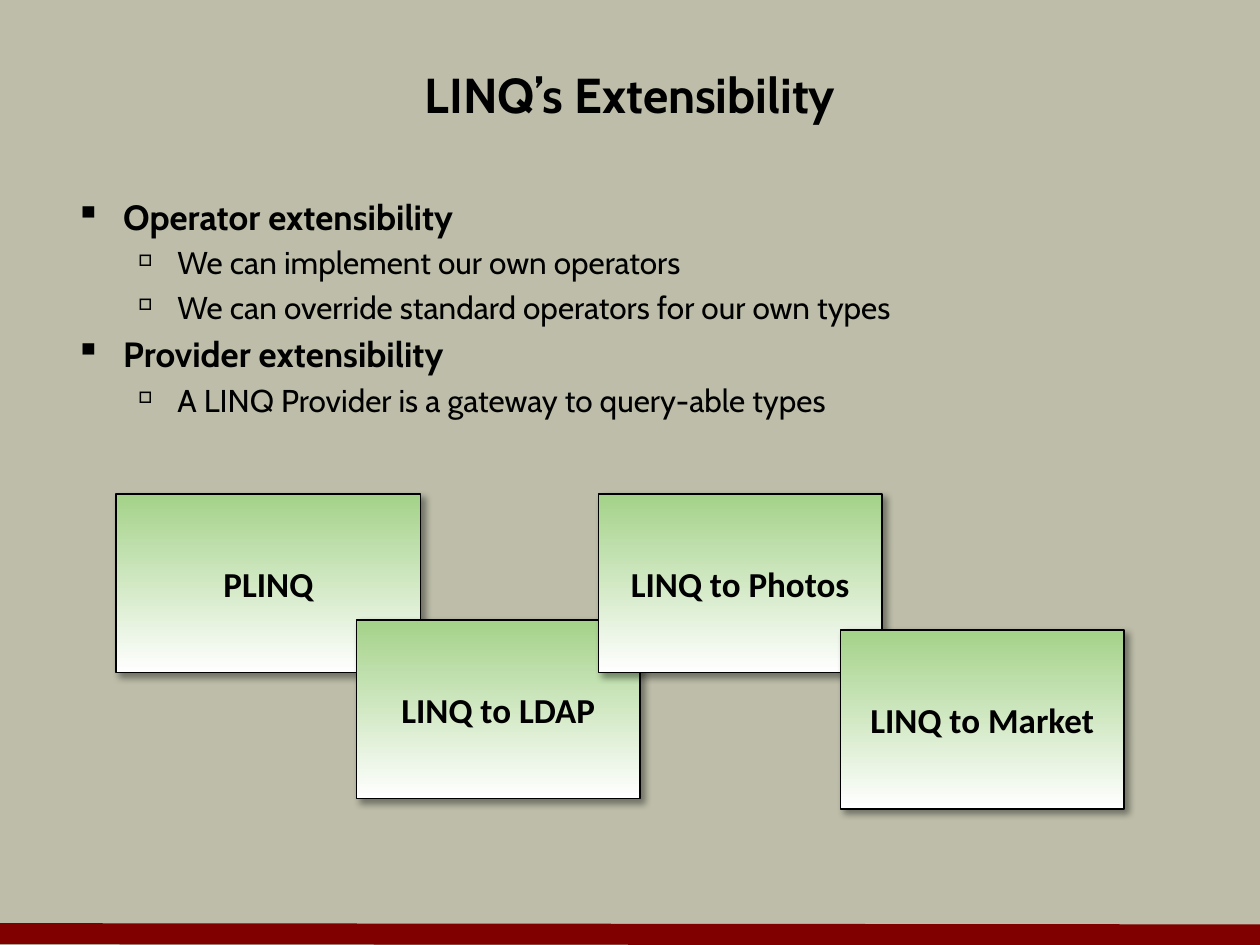
from lxml import etree
from pptx import Presentation
from pptx.dml.color import RGBColor
from pptx.enum.shapes import MSO_CONNECTOR, MSO_SHAPE
from pptx.enum.text import MSO_ANCHOR, PP_ALIGN
from pptx.oxml.ns import qn
from pptx.util import Inches, Pt

LINE = MSO_CONNECTOR.STRAIGHT
RECT = MSO_SHAPE.RECTANGLE
MIDDLE = MSO_ANCHOR.MIDDLE
CENTER = PP_ALIGN.CENTER
BLACK = "000000"


def paint(color, code):
    color.rgb = RGBColor.from_string(code)


def style(para, name, size, bold):
    font = para.font
    font.name, font.size, font.bold = name, Pt(size), bold
    paint(font.color, BLACK)


deck = Presentation()
deck.slide_width, deck.slide_height = Inches(10), Inches(7.5)
slide = deck.slides.add_slide(deck.slide_layouts[6])
shapes = slide.shapes
back = slide.background.fill
back.solid()
paint(back.fore_color, "BDBDA9")

# Footer band
band = shapes.add_connector(LINE, Inches(0), Inches(7.41), Inches(10), Inches(7.42))
band.line.width = Pt(12)
paint(band.line.color, "800000")
etree.SubElement(band._element.spPr, qn("a:effectLst"))

# Title
frame = shapes.add_textbox(Inches(0.5), Inches(0.33), Inches(9), Inches(0.83)).text_frame
frame.word_wrap = True
frame.vertical_anchor = MIDDLE
frame.text = "LINQ’s Extensibility"
frame.paragraphs[0].alignment = CENTER
style(frame.paragraphs[0], "Cabin", 28, True)

# Bullets: level and text
points = [
    (0, "Operator extensibility"),
    (1, "We can implement our own operators"),
    (1, "We can override standard operators for our own types"),
    (0, "Provider extensibility"),
    (1, "A LINQ Provider is a gateway to query-able types"),
]
# Per level: mark, mark size in percent, left margin, hanging indent, text size, bold
levels = [("▪", 100, 0.38, 0.38, 20, True), ("□", 50, 0.81, 0.31, 18, False)]

frame = shapes.add_textbox(Inches(0.5), Inches(1.5), Inches(9), Inches(2.17)).text_frame
frame.word_wrap = True
frame.text = "\n".join(text for _, text in points)
for i, (para, (level, _)) in enumerate(zip(frame.paragraphs, points)):
    mark, scale, left, hang, size, bold = levels[level]
    para.level = level
    props = para._p.get_or_add_pPr()
    props.set("marL", str(Inches(left)))
    props.set("indent", str(-Inches(hang)))
    etree.SubElement(props, qn("a:buSzPct"), val=str(scale * 1000))
    etree.SubElement(props, qn("a:buChar"), char=mark)
    para.space_before = Pt(size * 0.2 if i else 0)
    style(para, "Cabin", size, bold)

# Provider cards: text, left, top, width
cards = [
    ("PLINQ", 0.92, 3.92, 2.42),
    ("LINQ to LDAP", 2.83, 4.92, 2.25),
    ("LINQ to Photos", 4.75, 3.92, 2.25),
    ("LINQ to Market", 6.67, 5, 2.25),
]
for text, left, top, width in cards:
    card = shapes.add_shape(RECT, Inches(left), Inches(top), Inches(width), Inches(1.42))
    card.fill.gradient()
    card.fill.gradient_angle = 270
    for stop, code, place in zip(card.fill.gradient_stops, ("A4D289", "FFFFFF"), (0, 1)):
        paint(stop.color, code)
        stop.position = place
    card.line.width = Pt(0.75)
    paint(card.line.color, BLACK)

    card.shadow.inherit = False
    effects = card._element.spPr.find(qn("a:effectLst"))
    shade = etree.SubElement(effects, qn("a:outerShdw"), blurRad=str(Pt(4)),
                             dist=str(Pt(3)), dir=str(45 * 60000), algn="tl")
    tint = etree.SubElement(shade, qn("a:srgbClr"), val=BLACK)
    etree.SubElement(tint, qn("a:alpha"), val="40000")

    frame = card.text_frame
    frame.word_wrap = False
    frame.vertical_anchor = MIDDLE
    frame.text = text
    frame.paragraphs[0].alignment = CENTER
    style(frame.paragraphs[0], "Calibri", 20, True)

deck.save("out.pptx")
